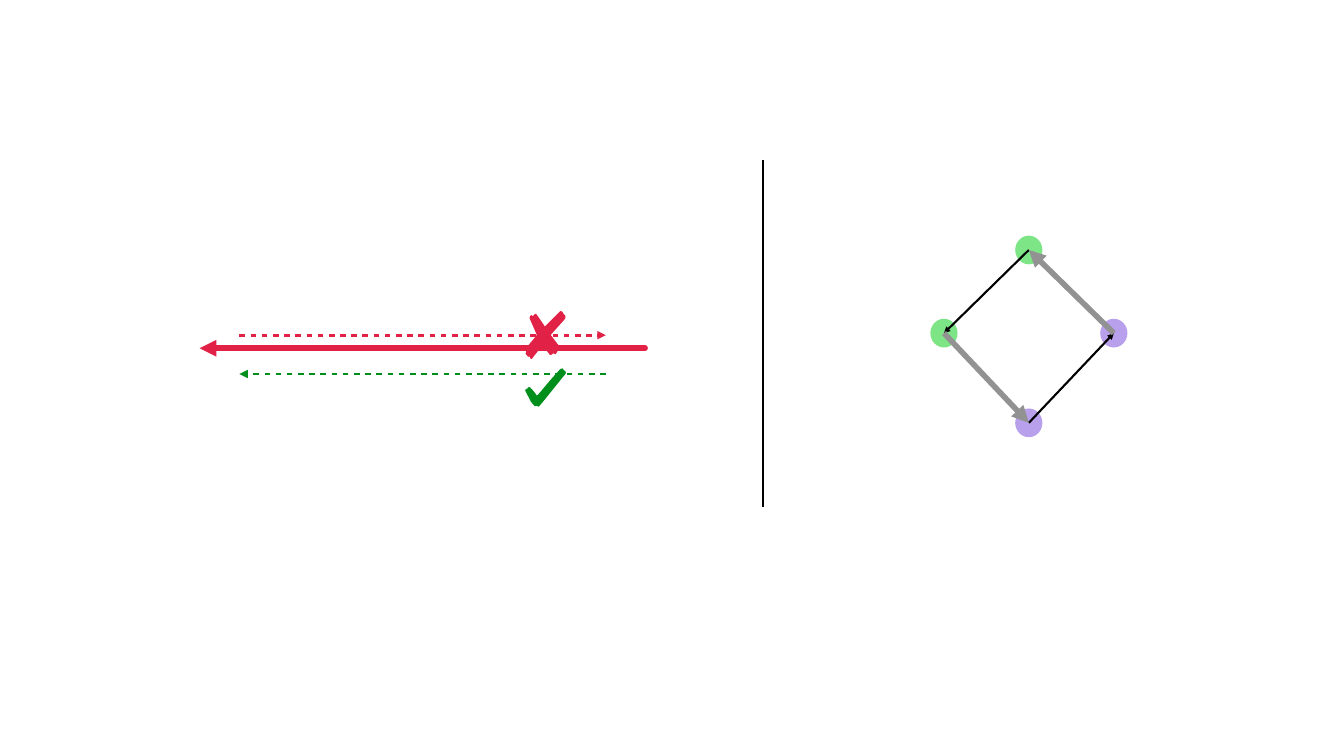
from dataclasses import dataclass
from typing import Any

import pptx
import pptx.dml.color
import pptx.enum.shapes
import pptx.oxml
import pptx.oxml.ns
import pptx.util

# Grid: 80 columns by 45 rows of square cells; marks use a finer grid
SLIDE_WIDTH = pptx.util.Inches(26.67)
SLIDE_HEIGHT = pptx.util.Inches(15)
COLUMNS, ROWS = 80, 45
FINE_STEP = pptx.util.Inches(0.01)

Point = tuple[float, float]


@dataclass(frozen=True)
class Theme:
    red: str = "E22146"
    green: str = "008F1B"
    black: str = "000000"
    grey: str = "929292"
    purple_node: str = "B8A0EC"
    green_node: str = "7EE587"
    hairline: float = 2
    thin: float = 3
    medium: float = 4
    thick: float = 8


@dataclass(frozen=True)
class Line:
    start: Point
    end: Point
    color: str
    width: float
    arrow: bool = True
    dashed: bool = False
    round_cap: bool = False


@dataclass(frozen=True)
class Node:
    center: Point
    color: str


@dataclass(frozen=True)
class Mark:
    origin: Point
    outline: list[Point]
    color: str


THEME = Theme()
NODE_SIZE = (1.62, 1.71)

# Left part: one wide arrow between two dashed ones
DASH_LEFT, DASH_RIGHT = 14.25, 36.06
ARROWS = [
    Line((DASH_LEFT, 19.95), (DASH_RIGHT, 19.95), THEME.red, THEME.medium, dashed=True),
    Line((38.4, 20.73), (11.88, 20.73), THEME.red, THEME.thick, round_cap=True),
    Line((DASH_RIGHT, 22.26), (DASH_LEFT, 22.26), THEME.green, THEME.medium, dashed=True),
]

# Check and cross outlines, in fine steps from the origin of each mark
CHECK = Mark((31.26, 21.93), [
    (74, 0), (70, 1), (51, 22), (25, 53), (23, 54), (22, 52), (14, 42), (10, 38),
    (8, 37), (5, 38), (5, 40), (1, 41), (1, 43), (0, 44), (12, 67), (19, 75),
    (22, 74), (27, 76), (38, 63), (79, 12), (81, 9), (80, 6), (79, 5), (76, 3), (76, 2),
], THEME.green)
CROSS = Mark((31.26, 18.51), [
    (71, 0), (69, 1), (41, 29), (39, 31), (38, 29), (27, 13), (22, 6), (19, 6),
    (18, 8), (15, 10), (12, 8), (9, 12), (9, 15), (23, 47), (23, 48), (0, 76),
    (2, 80), (2, 82), (1, 84), (1, 85), (6, 91), (8, 90), (9, 91), (11, 95),
    (14, 95), (14, 94), (33, 70), (35, 68), (36, 70), (49, 87), (52, 87), (56, 84),
    (60, 86), (61, 85), (63, 82), (65, 79), (68, 77), (70, 73), (51, 48), (52, 46),
    (78, 17), (80, 14), (80, 9), (78, 8), (75, 4), (75, 3), (73, 1),
], THEME.red)

# Right part: a cycle through four nodes
TOP, LEFT, BOTTOM, RIGHT = (61.24, 14.88), (56.19, 19.83), (61.24, 25.17), (66.3, 19.83)
PURPLE_NODES = [Node(BOTTOM, THEME.purple_node), Node(RIGHT, THEME.purple_node)]
GREEN_NODES = [Node(TOP, THEME.green_node), Node(LEFT, THEME.green_node)]
RISING_EDGE = Line(BOTTOM, RIGHT, THEME.black, THEME.thin)
OTHER_EDGES = [
    Line(TOP, LEFT, THEME.black, THEME.thin),
    Line(LEFT, BOTTOM, THEME.grey, THEME.thick),
    Line(RIGHT, TOP, THEME.grey, THEME.thick),
]
DIVIDER = Line((45.42, 30.15), (45.42, 9.51), THEME.black, THEME.hairline, arrow=False)


def across(columns: float) -> int:
    return round(SLIDE_WIDTH * columns / COLUMNS)


def down(rows: float) -> int:
    return round(SLIDE_HEIGHT * rows / ROWS)


def apply_format(target: Any, values: dict[str, Any]) -> None:
    for name, value in values.items():
        setattr(target, name, value)


def add_element(parent: Any, tag: str, **attributes: str) -> Any:
    element = pptx.oxml.parse_xml(f"<{tag} {pptx.oxml.ns.nsdecls('a')}/>")
    for name, value in attributes.items():
        element.set(name, value)
    parent.append(element)
    return element


def fill_plain(shape: Any, color: str) -> None:
    shape.shadow.inherit = False
    shape.fill.solid()
    apply_format(shape.fill.fore_color, {"rgb": pptx.dml.color.RGBColor.from_string(color)})
    shape.line.fill.background()


def draw_line(slide: Any, line: Line) -> None:
    connector = slide.shapes.add_connector(
        pptx.enum.shapes.MSO_CONNECTOR.STRAIGHT,
        across(line.start[0]), down(line.start[1]), across(line.end[0]), down(line.end[1]),
    )
    apply_format(connector.line, {"width": pptx.util.Pt(line.width)})
    connector.line.fill.solid()
    apply_format(connector.line.color, {"rgb": pptx.dml.color.RGBColor.from_string(line.color)})
    properties = connector._element.spPr
    outline = properties.find(pptx.oxml.ns.qn("a:ln"))
    if line.round_cap:
        outline.set("cap", "rnd")
    if line.dashed:
        dash = add_element(outline, "a:custDash")
        add_element(dash, "a:ds", d="200000", sp="200000")
    if line.arrow:
        add_element(outline, "a:tailEnd", type="triangle", w="med", len="med")
    add_element(properties, "a:effectLst")


def draw_node(slide: Any, node: Node) -> None:
    width, height = NODE_SIZE
    shape = slide.shapes.add_shape(
        pptx.enum.shapes.MSO_SHAPE.OVAL,
        across(node.center[0] - width / 2), down(node.center[1] - height / 2),
        across(width), down(height),
    )
    fill_plain(shape, node.color)


def draw_mark(slide: Any, mark: Mark) -> None:
    builder = slide.shapes.build_freeform(*mark.outline[0], scale=FINE_STEP)
    builder.add_line_segments(mark.outline[1:], close=True)
    shape = builder.convert_to_shape(across(mark.origin[0]), down(mark.origin[1]))
    fill_plain(shape, mark.color)


def main() -> None:
    presentation = pptx.Presentation()
    apply_format(presentation, {"slide_width": SLIDE_WIDTH, "slide_height": SLIDE_HEIGHT})
    slide = presentation.slides.add_slide(presentation.slide_layouts[6])

    # Directions with their verdicts
    for arrow in ARROWS:
        draw_line(slide, arrow)
    for mark in (CHECK, CROSS):
        draw_mark(slide, mark)

    # Cycle: the rising edge lies under the green nodes
    for node in PURPLE_NODES:
        draw_node(slide, node)
    draw_line(slide, RISING_EDGE)
    for node in GREEN_NODES:
        draw_node(slide, node)
    for edge in OTHER_EDGES:
        draw_line(slide, edge)

    # Divider between the two parts
    draw_line(slide, DIVIDER)
    presentation.save("out.pptx")


if __name__ == "__main__":
    main()
